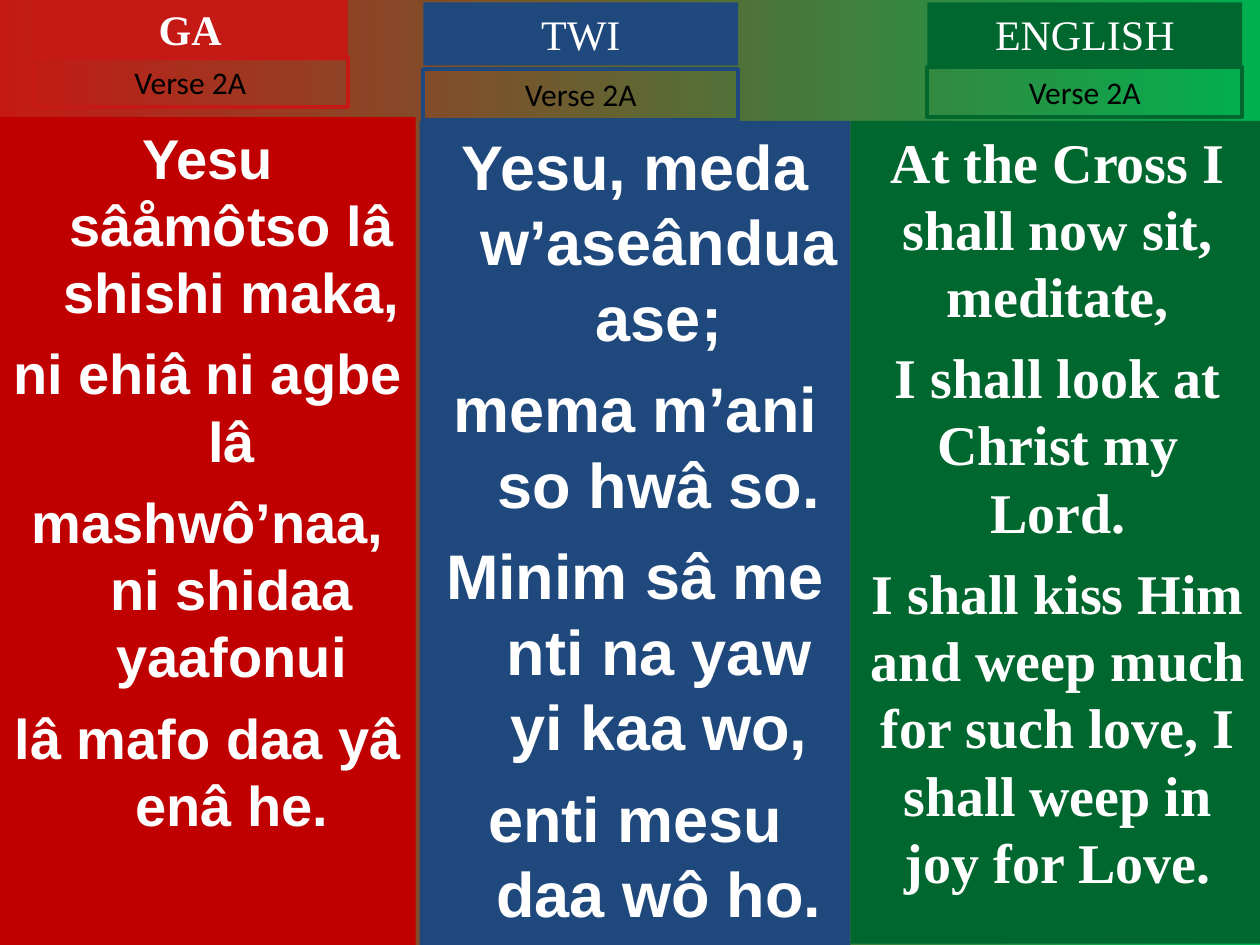
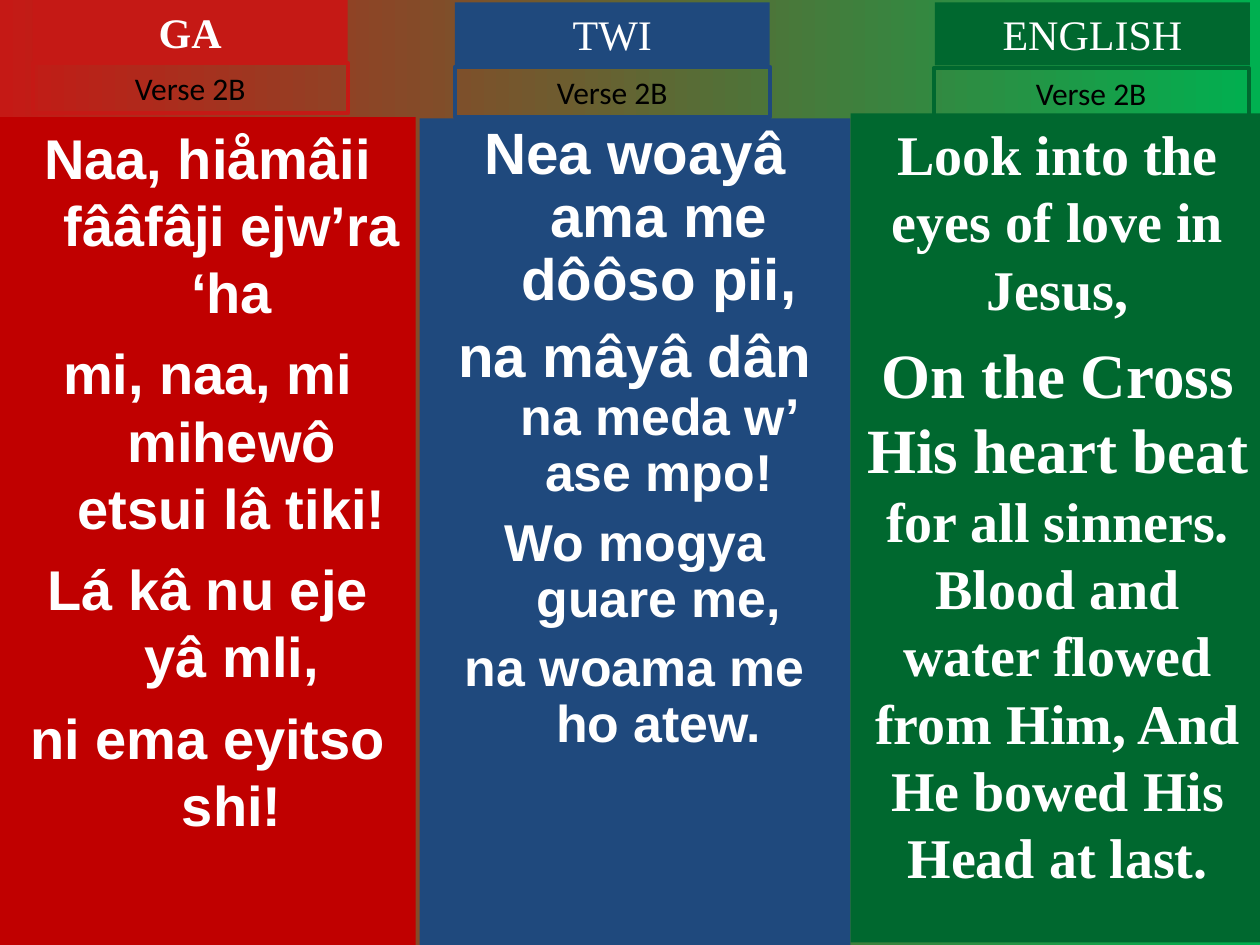
from pptx import Presentation
from pptx.util import Inches, Pt
from pptx.dml.color import RGBColor as RGB
from pptx.enum.shapes import MSO_SHAPE as Shape
from pptx.enum.text import MSO_ANCHOR as Anchor, MSO_AUTO_SIZE as Fit, PP_ALIGN as Align

RED = RGB(0xC5, 0x19, 0x15)
DARK = RGB(0xC0, 0x00, 0x00)
BLUE = RGB(0x1F, 0x49, 0x7D)
GREEN = RGB(0x00, 0x68, 0x2F)
LIME = RGB(0x00, 0xB0, 0x50)
WHITE = RGB(0xFF, 0xFF, 0xFF)
BLACK = RGB(0x00, 0x00, 0x00)
SERIF, SANS = "Times New Roman", "Arial"

HEAD = dict(name=SERIF, size=Pt(24), color=WHITE)
VERSE = dict(name="Calibri", size=Pt(18), color=BLACK, bold=False)
BODY = dict(color=WHITE, bold=True)

COLS = [
    dict(lang="GA", tone=RED, fill=DARK, left=0, wide=3.3, font=SANS, hang=0.38, bold=True),
    dict(lang="TWI", tone=BLUE, fill=BLUE, left=3.33, wide=3.42, font=SANS, hang=0.38, bold=False),
    dict(lang="ENGLISH", tone=GREEN, fill=GREEN, left=6.75, wide=3.29, font=SERIF, hang=0, bold=False),
]

SLIDES = [
    ("Verse 2A", [
        dict(body=(0.93, 6.57), head=(0.26, -0.02), verse=(0.26, 0.45), gaps=8, lines=[
            [("Yesu sâåmôtso lâ shishi maka,", 32)],
            [("ni ehiâ ni agbe lâ", 32)],
            [("mashwô’naa, ni shidaa yaafonui", 32)],
            [("lâ mafo daa yâ enâ he.", 32)]]),
        dict(body=(0.96, 6.54), head=(3.36, 0.02), verse=(3.36, 0.55), gaps=9, lines=[
            [("Yesu, meda w’aseândua ase;", 36)],
            [("mema m’ani so hwâ so.", 36)],
            [("Minim sâ me nti na yaw yi kaa wo,", 36)],
            [("enti mesu daa wô ho.", 36)]]),
        dict(body=(0.96, 6.53), head=(7.36, 0.02), verse=(7.36, 0.53), gaps=8, lines=[
            [("At the Cross I shall now sit, meditate,", 32)],
            [("I shall look at Christ my Lord.", 32)],
            [("I shall kiss Him and weep much for such love, I shall weep in joy for Love.", 32)]]),
    ]),
    ("Verse 2B", [
        dict(body=(0.93, 6.57), head=(0.26, 0), verse=(0.26, 0.5), gaps=8, lines=[
            [("Naa, hiåmâii fââfâji ejw’ra ‘ha", 32)],
            [("mi, naa, mi mihewô etsui lâ tiki!", 32)],
            [("Lá kâ nu eje yâ mli,", 32)],
            [("ni ema eyitso shi!", 32)]]),
        dict(body=(0.94, 6.56), head=(3.61, 0.02), verse=(3.61, 0.53), gaps=8, pitch=0.9, lines=[
            [("Nea woayâ ama me dôôso pii,", 33.3)],
            [("na mâyâ dân ", 33.3), ("na meda w’ ase mpo!", 29.6)],
            [("Wo mogya guare me,", 29.6)],
            [("na woama me ho atew.", 29.6)]]),
        dict(body=(0.9, 6.58), head=(7.42, 0.02), verse=(7.41, 0.54), gaps=8, lines=[
            [("Look into the eyes of love in Jesus,", 32)],
            [("On the Cross His heart beat ", 36),
             ("for all sinners. Blood and water flowed from Him, And He bowed His Head at last.", 32)]]),
    ]),
]


def add_box(slide, left, top, wide, high, fill=None, line=None):
    box = slide.shapes.add_shape(Shape.RECTANGLE, Inches(left), Inches(top), Inches(wide), Inches(high))
    box.shadow.inherit = False
    for part, color in ((box.fill, fill), (box.line.fill, line)):
        if color is None:
            part.background()
        else:
            part.solid()
            part.fore_color.rgb = color
    if line is not None:
        box.line.width = Pt(2.25)
    frame = box.text_frame
    frame.word_wrap = True
    frame.vertical_anchor = Anchor.TOP
    frame.paragraphs[0].alignment = Align.CENTER
    return frame


def add_run(para, text, form):
    run = para.add_run()
    run.text = text
    for key, value in form.items():
        if key == "color":
            run.font.color.rgb = value
        else:
            setattr(run.font, key, value)


deck = Presentation()
deck.slide_width, deck.slide_height = Inches(10), Inches(7.5)

for verse, parts in SLIDES:
    slide = deck.slides.add_slide(deck.slide_layouts[6])
    back = slide.background.fill
    back.gradient()
    back.gradient_angle = 0
    for stop, color in zip(back.gradient_stops, (RED, LIME)):
        stop.color.rgb = color

    for col, part in zip(COLS, parts):
        top, high = part["body"]
        frame = add_box(slide, col["left"], top, col["wide"], high, fill=col["fill"])
        for num, line in enumerate(part["lines"]):
            para = frame.add_paragraph() if num else frame.paragraphs[0]
            para.alignment = Align.CENTER
            para.line_spacing = part.get("pitch", 1.0)
            para.space_before = Pt(part["gaps"] if num else 0)
            props = para._p.get_or_add_pPr()
            props.set("marL", str(Inches(col["hang"])))
            props.set("indent", str(-Inches(col["hang"])))
            for text, size in line:
                add_run(para, text, BODY | dict(name=col["font"], size=Pt(size)))

        labels = [
            (col["lang"], part["head"], 0.5, dict(fill=col["tone"]), HEAD | dict(bold=col["bold"])),
            (verse, part["verse"], 0.4, dict(line=col["tone"]), VERSE),
        ]
        for text, (left, top), high, paint, form in labels:
            frame = add_box(slide, left, top, 2.5, high, **paint)
            frame.auto_size = Fit.SHAPE_TO_FIT_TEXT
            add_run(frame.paragraphs[0], text, form)

deck.save("out.pptx")
